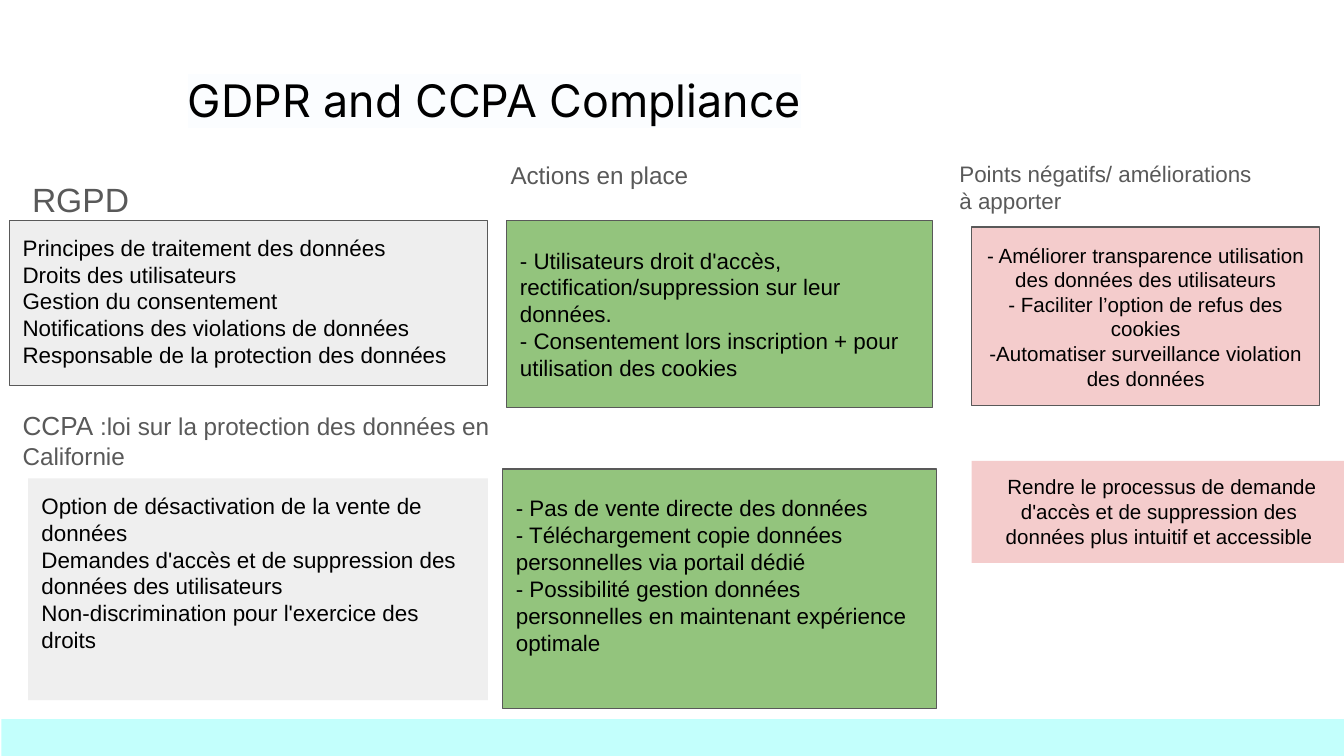
from lxml import etree
from pptx import Presentation
from pptx.dml.color import RGBColor
from pptx.enum.shapes import MSO_SHAPE
from pptx.enum.text import MSO_ANCHOR, PP_ALIGN
from pptx.oxml.ns import qn
from pptx.util import Inches, Pt

RECTANGLE = MSO_SHAPE.RECTANGLE
TOP, MIDDLE = MSO_ANCHOR.TOP, MSO_ANCHOR.MIDDLE
LEFT, CENTER = PP_ALIGN.LEFT, PP_ALIGN.CENTER
BLACK, GRAY = "000000", "595959"
GREEN, PINK = "93C47D", "F4CCCC"


def color(value):
    return RGBColor.from_string(value)


def add_run(paragraph, text, size, text_color, font="Arial"):
    run = paragraph.add_run()
    run.text = text
    run.font.name = font
    run.font.size = Pt(size)
    run.font.color.rgb = color(text_color)
    return run


def set_frame(shape, anchor=TOP, bottom=0.1):
    frame = shape.text_frame
    frame.word_wrap = True
    frame.vertical_anchor = anchor
    frame.margin_left = frame.margin_right = frame.margin_top = Inches(0.1)
    frame.margin_bottom = Inches(bottom)
    return frame


def add_label(slide, left, top, width, height, runs):
    shape = slide.shapes.add_textbox(Inches(left), Inches(top), Inches(width), Inches(height))
    paragraph = set_frame(shape).paragraphs[0]
    return [add_run(paragraph, *run) for run in runs]


def add_panel(slide, left, top, width, height, fill, outlined=False):
    shape = slide.shapes.add_shape(RECTANGLE, Inches(left), Inches(top), Inches(width), Inches(height))
    shape.shadow.inherit = False
    shape.fill.solid()
    shape.fill.fore_color.rgb = color(fill)
    if outlined:
        shape.line.color.rgb = color(GRAY)
        shape.line.width = Pt(0.75)
    else:
        shape.line.fill.background()
    return shape


def fill_panel(shape, lines, size=12, align=LEFT, anchor=MIDDLE, bottom=0.1):
    frame = set_frame(shape, anchor, bottom)
    for index, line in enumerate(lines):
        paragraph = frame.paragraphs[0] if index == 0 else frame.add_paragraph()
        paragraph.alignment = align
        add_run(paragraph, line, size, BLACK)


def add_title(slide, left, top, width, height):
    run = add_label(slide, left, top, width, height,
                    [("GDPR and CCPA Compliance", 24, BLACK, "Inter")])[0]
    highlight = etree.Element(qn("a:highlight"))
    etree.SubElement(highlight, qn("a:srgbClr"), val="FBFDFF")
    run.font._element.find(qn("a:solidFill")).addnext(highlight)


def add_gdpr_row(slide, left, top):
    add_label(slide, left + 0.07, top + 0.11, 1.63, 0.27, [("RGPD", 18, GRAY)])
    add_label(slide, left + 3.63, top, 2.59, 0.17, [("Actions en place", 13, GRAY)])
    add_label(slide, left + 6.97, top, 2.46, 0.17,
              [("Points négatifs/ améliorations à apporter", 12, GRAY)])
    principles = add_panel(slide, left, top + 0.52, 3.56, 1.23, "EEEEEE", True)
    fill_panel(principles, [
        "Principes de traitement des données",
        "Droits des utilisateurs",
        "Gestion du consentement",
        "Notifications des violations de données",
        "Responsable de la protection des données",
    ], bottom=0.13)
    actions = add_panel(slide, left + 3.7, top + 0.52, 3.17, 1.39, GREEN, True)
    fill_panel(actions, [
        "- Utilisateurs droit d'accès, rectification/suppression sur leur données.",
        "- Consentement lors inscription + pour utilisation des cookies",
    ])
    improvements = add_panel(slide, left + 7.16, top + 0.57, 2.59, 1.33, PINK, True)
    fill_panel(improvements, [
        "- Améliorer transparence utilisation des données des utilisateurs",
        "- Faciliter l’option de refus des cookies",
        "-Automatiser surveillance violation des données",
    ], 11, CENTER)


def add_ccpa_row(slide, left, top):
    add_label(slide, left, top, 3.7, 0.27, [
        ("CCPA", 14, GRAY),
        (" :loi sur la protection des données en Californie", 13, GRAY),
    ])
    rights = add_panel(slide, left + 0.14, top + 0.61, 3.42, 1.65, "EFEFEF")
    fill_panel(rights, [
        "Option de désactivation de la vente de données",
        "Demandes d'accès et de suppression des données des utilisateurs",
        "Non-discrimination pour l'exercice des droits",
    ], anchor=TOP)
    actions = add_panel(slide, left + 3.67, top + 0.54, 3.23, 1.78, GREEN, True)
    fill_panel(actions, [
        "- Pas de vente directe des données",
        "- Téléchargement copie données personnelles via portail dédié",
        "- Possibilité gestion données personnelles en maintenant expérience optimale",
    ], bottom=0.3)
    improvement = add_panel(slide, left + 7.16, top + 0.48, 2.79, 0.76, PINK)
    fill_panel(improvement, [
        " Rendre le processus de demande d'accès et de suppression des données plus intuitif et accessible",
    ], 11, CENTER, TOP)


def main():
    presentation = Presentation()
    presentation.slide_width = Inches(10)
    presentation.slide_height = Inches(10 * 9 / 16)
    slide = presentation.slides.add_slide(presentation.slide_layouts[6])
    add_title(slide, 1.3, 0.44, 5.81, 0.58)
    add_panel(slide, 0.01, 5.35, 10, 0.28, "C3FFFC")
    add_gdpr_row(slide, 0.07, 1.12)
    add_ccpa_row(slide, 0.07, 2.95)
    presentation.save("out.pptx")


if __name__ == "__main__":
    main()
